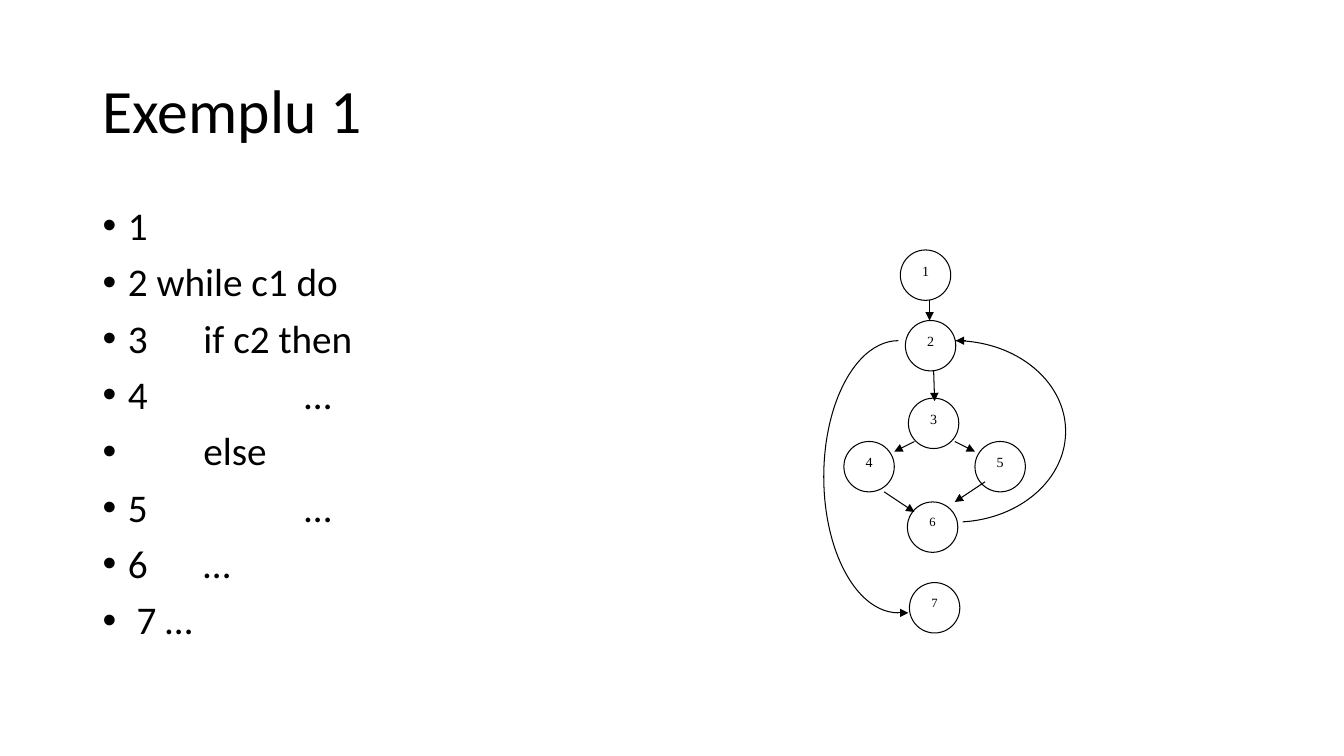
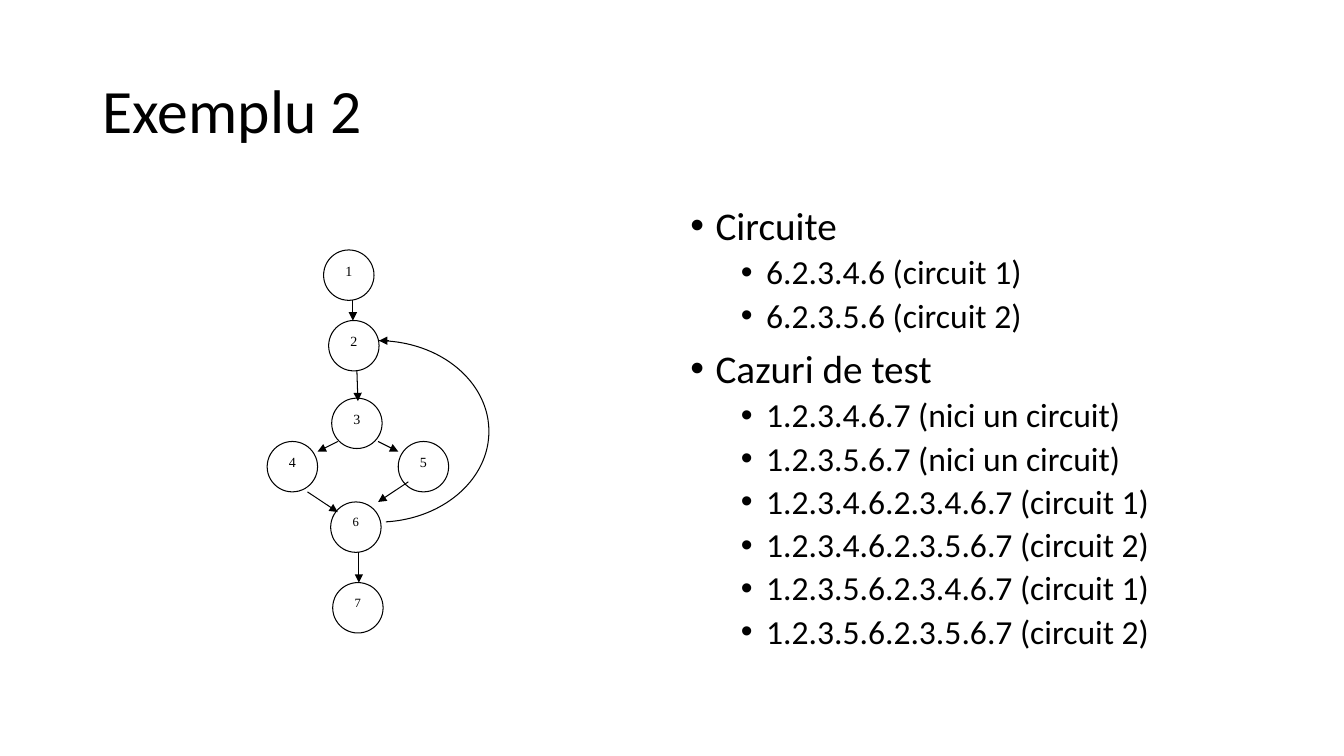
"""Build two slides that pair a control-flow graph with bulleted text."""
from lxml import etree
from pptx import Presentation
from pptx.dml.color import RGBColor
from pptx.enum.shapes import MSO_CONNECTOR as CONN, MSO_SHAPE as SHAPE
from pptx.enum.text import MSO_ANCHOR as ANCHOR, MSO_AUTO_SIZE as FIT, PP_ALIGN as ALIGN
from pptx.oxml.ns import qn
from pptx.util import Pt

PX = 9144
COLORS = {"ink": "000000", "paper": "FFFFFF"}
SANS, SERIF = "Calibri", "Times New Roman"
TITLE_BOX = (92, 40, 1150, 145)
LEFT_BOX, RIGHT_BOX = (92, 200, 567, 476), (675, 200, 567, 476)
LEVELS = [
    {"size": 28, "indent": 25, "before": 10},
    {"size": 24, "indent": 75, "before": 5},
]
HANG, TAB = 25, 100

NODE = 50
NODES = {
    "1": (56, 0, 10), "2": (61, 70, 10), "3": (64, 147, 10), "4": (0, 190, 10),
    "5": (130, 190, 10), "6": (63, 250, 9), "7": (65, 330, 9),
}
EDGES = [
    (85, 50, 85, 70), (89, 120, 90, 150), (70, 190, 50, 200),
    (110, 190, 130, 200), (40, 240, 70, 260), (140, 230, 110, 250),
]
LOOP = {"box": (0, 90, 220, 180), "angles": (270, 85), "tip": (121, 90, 111, 90)}
LONG_EXIT = {"box": (-20, 90, 148, 270), "angles": (90, 270), "tip": (54, 360, 64, 360)}
SHORT_EXIT = (91, 300, 91, 330)

PROGRAM = [
    (0, "1"), (0, "2 while c1 do"), (0, "3\tif c2 then"), (0, "4\t\t…"),
    (0, "\telse"), (0, "5\t\t…"), (0, "6\t…"), (0, " 7 …"),
]
TESTS = [
    (0, "Circuite"),
    (1, "6.2.3.4.6 (circuit 1)"),
    (1, "6.2.3.5.6 (circuit 2)"),
    (0, "Cazuri de test"),
    (1, "1.2.3.4.6.7 (nici un circuit)"),
    (1, "1.2.3.5.6.7 (nici un circuit)"),
    (1, "1.2.3.4.6.2.3.4.6.7 (circuit 1)"),
    (1, "1.2.3.4.6.2.3.5.6.7 (circuit 2)"),
    (1, "1.2.3.5.6.2.3.4.6.7 (circuit 1)"),
    (1, "1.2.3.5.6.2.3.5.6.7 (circuit 2)"),
]


def emu(*lengths):
    """Turn px lengths into EMU."""
    return [v * PX for v in lengths]


def color(name):
    """Look up a colour by name."""
    return RGBColor.from_string(COLORS[name])


def write(p, text, size=28, font=SANS, align=ALIGN.LEFT, spacing=None, before=0):
    """Write formatted text into a paragraph."""
    p.alignment = align
    p.space_before = Pt(before)
    if spacing:
        p.line_spacing = spacing
    r = p.add_run()
    r.text = text
    r.font.size = Pt(size)
    r.font.name = font
    r.font.color.rgb = color("ink")


def set_bullet(p, indent):
    """Give a paragraph a hanging bullet and regular tab stops."""
    pPr = p._p.get_or_add_pPr()
    pPr.set("marL", str(indent * PX))
    pPr.set("indent", str(-HANG * PX))
    pPr.set("defTabSz", str(TAB * PX))
    etree.SubElement(pPr, qn("a:buFont"), typeface="Arial")
    etree.SubElement(pPr, qn("a:buChar"), char="•")
    tabs = etree.SubElement(pPr, qn("a:tabLst"))
    for i in (1, 2):
        etree.SubElement(tabs, qn("a:tab"), pos=str(i * TAB * PX), algn="l")


def add_title(s, text):
    """Place and fill the title."""
    sp = s.shapes.title
    sp.left, sp.top, sp.width, sp.height = emu(*TITLE_BOX)
    tf = sp.text_frame
    tf.auto_size = FIT.NONE
    tf.vertical_anchor = ANCHOR.MIDDLE
    write(tf.paragraphs[0], text, size=44, spacing=0.9)


def add_bullets(s, box, items):
    """Fill a box with bullets of two levels."""
    tf = s.shapes.add_textbox(*emu(*box)).text_frame
    tf.word_wrap = True
    for i, (depth, text) in enumerate(items):
        p = tf.paragraphs[0] if i == 0 else tf.add_paragraph()
        level = LEVELS[depth]
        p.level = depth
        set_bullet(p, level["indent"])
        write(p, text, size=level["size"], spacing=0.9,
              before=level["before"] if i else 0)


def set_line(sp):
    """Apply the thin outline."""
    sp.line.color.rgb = color("ink")
    sp.line.width = Pt(0.75)


def add_node(g, x, y, label, size):
    """Draw a numbered circle."""
    sp = g.shapes.add_shape(SHAPE.OVAL, *emu(x, y, NODE, NODE))
    sp.shadow.inherit = False
    sp.fill.solid()
    sp.fill.fore_color.rgb = color("paper")
    set_line(sp)
    tf = sp.text_frame
    tf.vertical_anchor = ANCHOR.TOP
    write(tf.paragraphs[0], label, size=size, font=SERIF, align=ALIGN.CENTER)


def add_arrow(g, x, y, ends):
    """Draw a straight arrow."""
    x1, y1, x2, y2 = ends
    c = g.shapes.add_connector(CONN.STRAIGHT, *emu(x + x1, y + y1, x + x2, y + y2))
    set_line(c)
    etree.SubElement(c.line._get_or_add_ln(), qn("a:tailEnd"), type="triangle")
    etree.SubElement(c._element.spPr, qn("a:effectLst"))


def add_arc(g, x, y, arc):
    """Draw an elliptic arc and its arrow tip."""
    left, top, width, height = arc["box"]
    sp = g.shapes.add_shape(SHAPE.ARC, *emu(x + left, y + top, width, height))
    sp.shadow.inherit = False
    sp.fill.background()
    set_line(sp)
    for i, angle in enumerate(arc["angles"]):
        sp.adjustments[i] = angle * 0.6
    add_arrow(g, x, y, arc["tip"])


def add_graph(s, x, y, edges, arcs):
    """Draw the flow graph with its corner at x, y."""
    g = s.shapes.add_group_shape()
    for arc in arcs:
        add_arc(g, x, y, arc)
    for label, (dx, dy, size) in NODES.items():
        add_node(g, x + dx, y + dy, label, size)
    for ends in edges:
        add_arrow(g, x, y, ends)


def add_example(prs, title, text_box, items, corner, edges, arcs):
    """Add a slide with a title, bullets and a graph."""
    s = prs.slides.add_slide(prs.slide_layouts[5])
    add_title(s, title)
    add_bullets(s, text_box, items)
    add_graph(s, *corner, edges, arcs)


def main():
    """Build and save the presentation."""
    prs = Presentation()
    prs.slide_width, prs.slide_height = emu(1333, 750)
    add_example(prs, "Exemplu 1", LEFT_BOX, PROGRAM, (837, 248),
                EDGES, [LOOP, LONG_EXIT])
    add_example(prs, "Exemplu 2", RIGHT_BOX, TESTS, (265, 248),
                EDGES + [SHORT_EXIT], [LOOP])
    prs.save("out.pptx")


if __name__ == "__main__":
    main()
